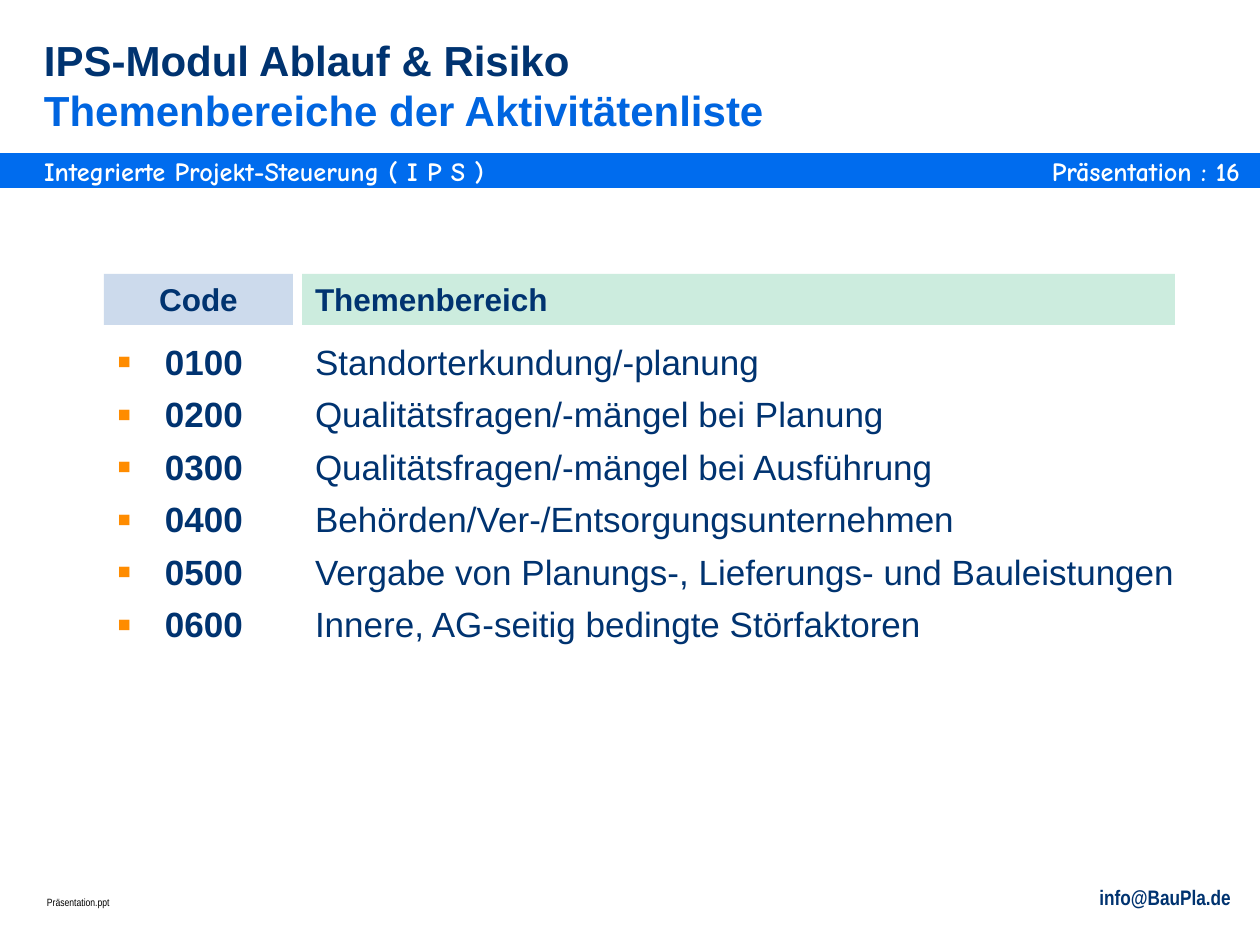
from dataclasses import dataclass

from lxml import etree
from pptx import Presentation
from pptx.dml.color import RGBColor
from pptx.enum.shapes import MSO_SHAPE
from pptx.enum.text import MSO_ANCHOR, PP_ALIGN
from pptx.oxml.ns import qn
from pptx.util import Emu, Pt

RECT = MSO_SHAPE.RECTANGLE
TOP, BOTTOM = MSO_ANCHOR.TOP, MSO_ANCHOR.BOTTOM
LEFT, CENTER, RIGHT = PP_ALIGN.LEFT, PP_ALIGN.CENTER, PP_ALIGN.RIGHT
SCALE = 914400 / 126
COLORS = {
    "navy": "003370",
    "blue": "0065E0",
    "banner": "006CEE",
    "white": "FFFFFF",
    "black": "000000",
    "orange": "FF8C00",
    "code": "CCDAEC",
    "topic": "CCECDE",
}
TOPICS = [
    ("0100", "Standorterkundung/-planung"),
    ("0200", "Qualitätsfragen/-mängel bei Planung"),
    ("0300", "Qualitätsfragen/-mängel bei Ausführung"),
    ("0400", "Behörden/Ver-/Entsorgungsunternehmen"),
    ("0500", "Vergabe von Planungs-, Lieferungs- und Bauleistungen"),
    ("0600", "Innere, AG-seitig bedingte Störfaktoren"),
]


@dataclass
class Box:
    left: int
    top: int
    width: int
    height: int


@dataclass
class Style:
    size: int
    color: str = "navy"
    bold: bool = True
    font: str = "Arial"
    align: PP_ALIGN = LEFT
    anchor: MSO_ANCHOR = TOP
    inset_x: int = 13
    inset_y: int = 6
    gap: int = 0
    bullet: bool = False


def px(n: int) -> Emu:
    return Emu(round(n * SCALE))


def rgb(name: str) -> RGBColor:
    return RGBColor.from_string(COLORS[name])


def place(box: Box) -> tuple[Emu, ...]:
    return px(box.left), px(box.top), px(box.width), px(box.height)


def add_bullet(p) -> None:
    pPr = p._p.get_or_add_pPr()
    pPr.set("marL", str(px(48)))
    pPr.set("indent", str(px(-48)))
    color = etree.SubElement(pPr, qn("a:buClr"))
    etree.SubElement(color, qn("a:srgbClr"), val=COLORS["orange"])
    etree.SubElement(pPr, qn("a:buSzPct"), val="120000")
    etree.SubElement(pPr, qn("a:buFont"), typeface="Arial")
    etree.SubElement(pPr, qn("a:buChar"), char="▪")


def write(sp, text: str, style: Style):
    tf = sp.text_frame
    tf.word_wrap = True
    tf.vertical_anchor = style.anchor
    tf.margin_left = tf.margin_right = px(style.inset_x)
    tf.margin_top = tf.margin_bottom = px(style.inset_y)
    tf.text = text
    for i, p in enumerate(tf.paragraphs):
        p.alignment = style.align
        if i:
            p.space_before = Pt(style.gap)
        if style.bullet:
            add_bullet(p)
        for r in p.runs:
            r.font.name = style.font
            r.font.size = Pt(style.size)
            r.font.bold = style.bold
            r.font.color.rgb = rgb(style.color)
    return tf


def add_text(s, box: Box, text: str, style: Style):
    return write(s.shapes.add_textbox(*place(box)), text, style)


def add_bar(s, box: Box, fill: str):
    sp = s.shapes.add_shape(RECT, *place(box))
    sp.shadow.inherit = False
    sp.fill.solid()
    sp.fill.fore_color.rgb = rgb(fill)
    sp.line.fill.background()
    return sp


def add_banner(s) -> None:
    bar = add_bar(s, Box(0, 155, 1260, 31), "banner")
    bar.line.color.rgb = rgb("banner")
    bar.line.width = Pt(2)
    for box, text, align in (
        (Box(44, 155, 900, 31), "Integrierte Projekt-Steuerung ( I P S )", LEFT),
        (Box(958, 155, 282, 31), "Präsentation : 16", RIGHT),
    ):
        add_text(s, box, text, Style(15, "white", font="Comic Neue", align=align,
                                     inset_x=0, inset_y=0))


def add_title(s) -> None:
    tf = add_text(s, Box(44, 35, 1111, 100),
                  "IPS-Modul Ablauf & Risiko\vThemenbereiche der Aktivitätenliste",
                  Style(24, anchor=BOTTOM, inset_x=0, inset_y=0))
    p = tf.paragraphs[0]
    p.line_spacing = Pt(28.5)
    p.runs[1].font.color.rgb = rgb("blue")


def add_topics(s) -> None:
    codes, names = zip(*TOPICS)
    for left, bar_width, width, fill, heading, align, rows, marked in (
        (104, 189, 189, "code", "Code", CENTER, codes, True),
        (302, 873, 903, "topic", "Themenbereich", LEFT, names, False),
    ):
        bar = add_bar(s, Box(left, 274, bar_width, 51), fill)
        write(bar, heading, Style(18, align=align))
        add_text(s, Box(left, 334, width, 387), "\n".join(rows),
                 Style(20, bold=marked, gap=6, bullet=marked))


def add_footer(s) -> None:
    add_text(s, Box(730, 879, 514, 38), "info@BauPla.de",
             Style(12, font="Arial Narrow", align=RIGHT))
    add_text(s, Box(34, 890, 514, 25), "Präsentation.ppt",
             Style(6, "black", bold=False, font="Arial Narrow"))


def main() -> None:
    prs = Presentation()
    prs.slide_width, prs.slide_height = px(1260), px(945)
    s = prs.slides.add_slide(prs.slide_layouts[6])
    add_banner(s)
    add_footer(s)
    add_title(s)
    add_topics(s)
    prs.save("out.pptx")


if __name__ == "__main__":
    main()
